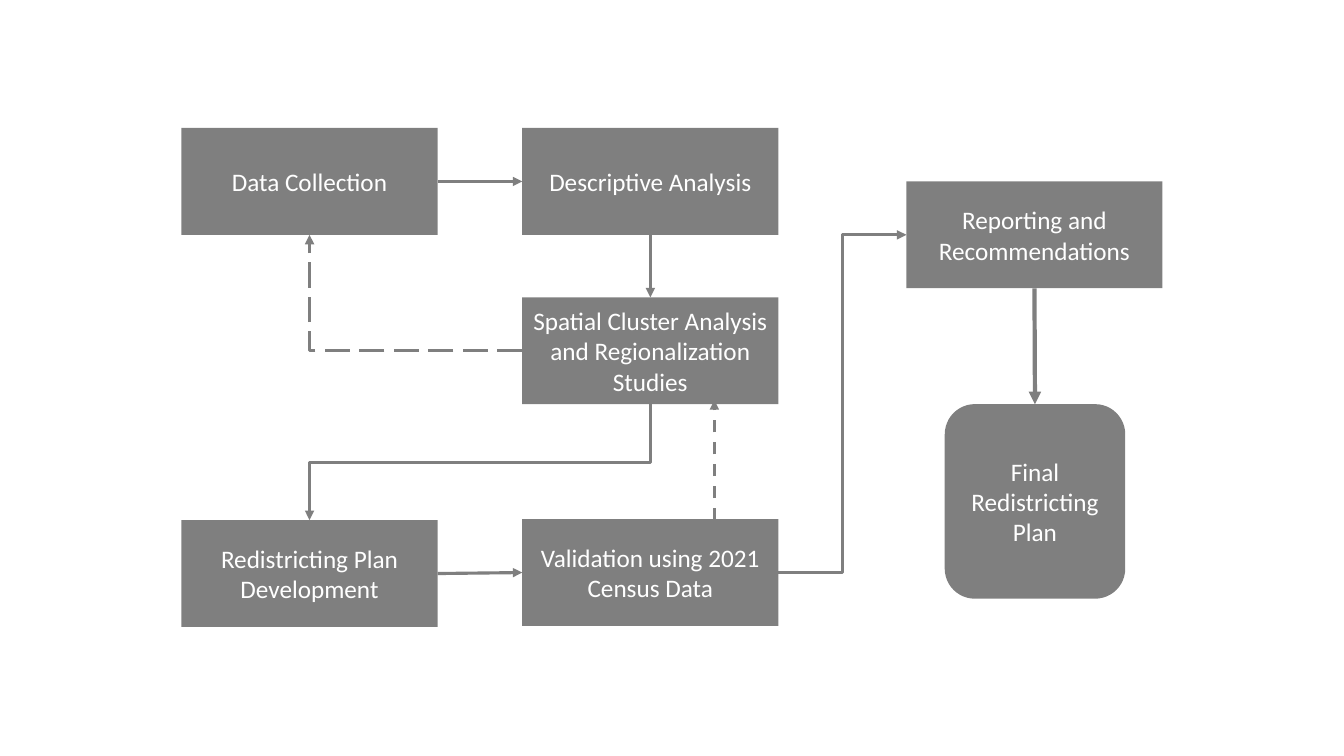
import math
import pptx
import pptx.util
import pptx.dml.color
import pptx.enum.dml
import pptx.enum.shapes
import pptx.enum.text
import pptx.oxml.ns
import pptx.oxml.xmlchemy
from dataclasses import dataclass
from lxml import etree

Inches = pptx.util.Inches
RGB = pptx.dml.color.RGBColor
Shape = pptx.enum.shapes.MSO_SHAPE
Link = pptx.enum.shapes.MSO_CONNECTOR
Dash = pptx.enum.dml.MSO_LINE
qn = pptx.oxml.ns.qn


@dataclass(frozen=True)
class Theme:
    """Hold the colours and type sizes of the slide."""
    box: RGB = RGB(0, 0, 0)
    alpha: int = 50
    line: RGB = RGB(0x7F, 0x7F, 0x7F)
    ink: RGB = RGB(255, 255, 255)
    font: str = "Calibri"
    size: float = 18
    thin: float = 2.25
    thick: float = 3


THEME = Theme()
WIDE, HIGH = 2.54, 1.06
LEFT, MID, RIGHT = 1.8, 5.18, 8.99
TOP, WEST, BASE, EAST = range(4)

STEPS = {
    "data": ("Data Collection", LEFT, 1.27),
    "describe": ("Descriptive Analysis", MID, 1.27),
    "cluster": ("Spatial Cluster Analysis and Regionalization Studies", MID, 2.95),
    "plan": ("Redistricting Plan Development", LEFT, 5.16),
    "check": ("Validation using 2021 Census Data", MID, 5.15),
    "report": ("Reporting and Recommendations", RIGHT, 1.8),
}
FLOWS = [
    ("data", EAST, "describe", WEST, {}),
    ("describe", BASE, "cluster", TOP, {}),
    ("cluster", WEST, "data", BASE,
     {"bend": "bentConnector2", "turn": 180, "dash": Dash.LONG_DASH}),
    ("cluster", BASE, "plan", TOP, {"bend": "bentConnector3", "turn": 90}),
    ("plan", EAST, "check", WEST, {}),
    ("check", EAST, "report", WEST, {"bend": "bentConnector3"}),
    ("report", BASE, "final", TOP, {"width": THEME.thick}),
]


def apply(item, values):
    """Set each named value on the item."""
    for name, value in values.items():
        setattr(item, name, value)


def node(slide, text, box, kind=Shape.RECTANGLE):
    """Draw one step with centred text in the given box."""
    shape = slide.shapes.add_shape(kind, *map(Inches, box))
    shape.shadow.inherit = False
    shape.line.fill.background()
    shape.fill.solid()
    shape.fill.fore_color.rgb = THEME.box
    tint = shape.fill._xPr.find(qn("a:solidFill"))[0]
    etree.SubElement(tint, qn("a:alpha")).set("val", str(THEME.alpha * 1000))
    frame = shape.text_frame
    apply(frame, {"word_wrap": True,
                  "vertical_anchor": pptx.enum.text.MSO_ANCHOR.MIDDLE})
    para = frame.paragraphs[0]
    apply(para, {"text": text, "alignment": pptx.enum.text.PP_ALIGN.CENTER})
    apply(para.font, {"name": THEME.font, "size": pptx.util.Pt(THEME.size)})
    para.font.color.rgb = THEME.ink
    return shape


def site(shape, side):
    """Return the middle of one side of a shape."""
    across = {WEST: 0, EAST: 1}.get(side, 0.5)
    down = {TOP: 0, BASE: 1}.get(side, 0.5)
    return shape.left + across * shape.width, shape.top + down * shape.height


def arrow(slide, start, end, glue=None, bend=None, turn=0, dash=None,
          width=THEME.thin):
    """Draw an arrow between two points, turned about its centre."""
    kind = Link.ELBOW if bend else Link.STRAIGHT
    line = slide.shapes.add_connector(kind, 0, 0, 0, 0)
    if glue:
        head, out, tail, into = glue
        line.begin_connect(head, out)
        line.end_connect(tail, into)
    mid = [(a + b) / 2 for a, b in zip(start, end)]
    dx, dy = [(b - a) / 2 for a, b in zip(start, end)]
    cos, sin = math.cos(math.radians(turn)), math.sin(math.radians(turn))
    x, y = dx * cos + dy * sin, dy * cos - dx * sin
    apply(line, {"begin_x": round(mid[0] - x), "begin_y": round(mid[1] - y),
                 "end_x": round(mid[0] + x), "end_y": round(mid[1] + y),
                 "rotation": turn})
    apply(line.line, {"width": pptx.util.Pt(width), "dash_style": dash})
    line.line.color.rgb = THEME.line
    props = line._element.spPr
    if bend:
        props.find(qn("a:prstGeom")).set("prst", bend)
    etree.SubElement(props.find(qn("a:ln")), qn("a:tailEnd")).set("type", "triangle")
    etree.SubElement(props, qn("a:effectLst"))


def chart(slide):
    """Draw the flow chart of steps and arrows."""
    nodes = {key: node(slide, text, (x, y, WIDE, HIGH))
             for key, (text, x, y) in STEPS.items()}
    nodes["final"] = node(slide, "Final Redistricting Plan",
                          (9.37, 4.01, 1.79, 1.93), Shape.ROUNDED_RECTANGLE)
    for head, out, tail, into, style in FLOWS:
        one, two = nodes[head], nodes[tail]
        arrow(slide, site(one, out), site(two, into),
              (one, out, two, into), **style)
    back = Inches(MID + WIDE * 0.75)
    arrow(slide, (back, Inches(5.16)), (back, Inches(3.97)), dash=Dash.DASH)


def main():
    """Build and save the slide."""
    deck = pptx.Presentation()
    apply(deck, {"slide_width": Inches(13.33), "slide_height": Inches(7.5)})
    chart(deck.slides.add_slide(deck.slide_layouts[6]))
    deck.save("out.pptx")


if __name__ == "__main__":
    main()
